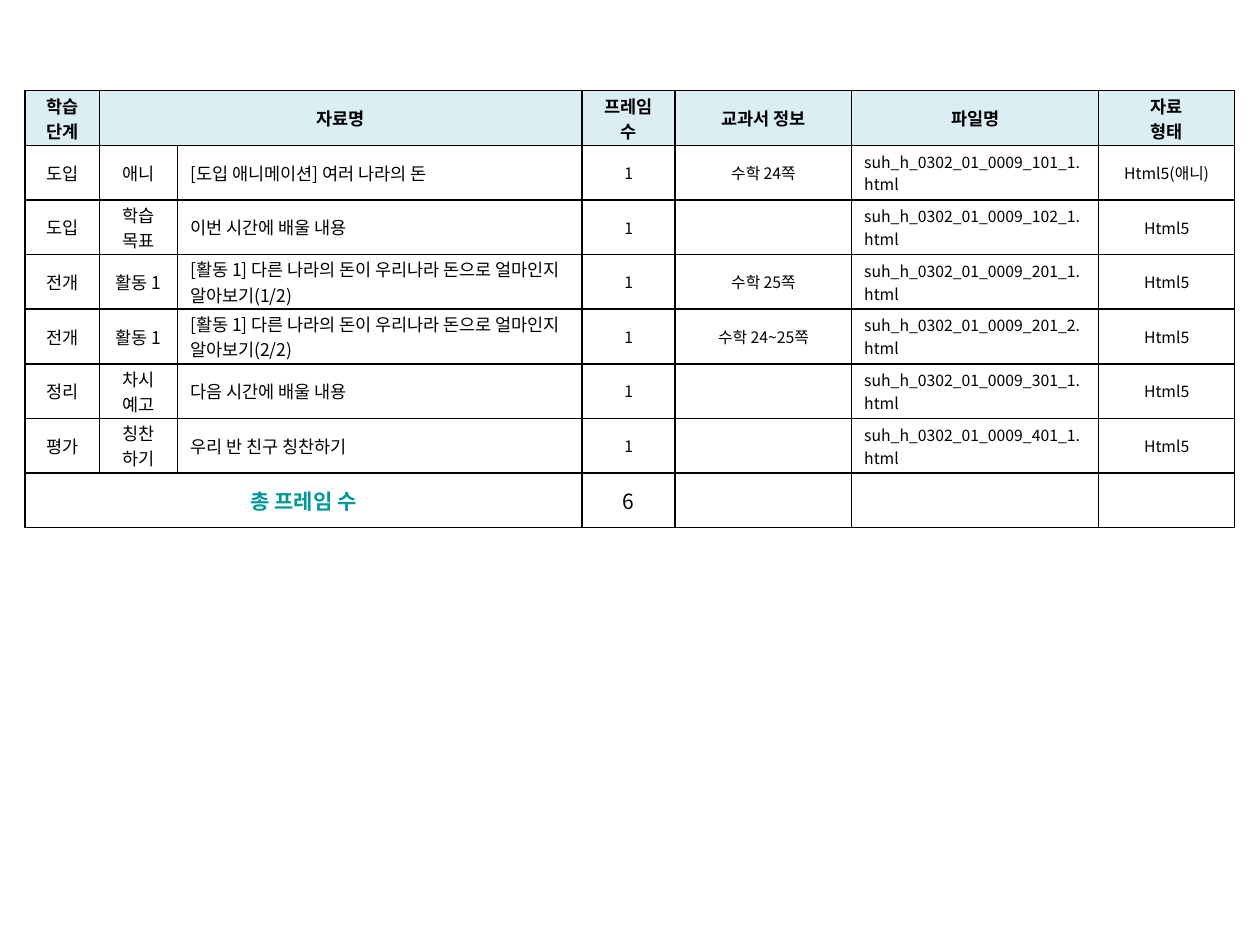
from typing import NamedTuple

from lxml import etree
from pptx import Presentation
from pptx.dml.color import RGBColor
from pptx.enum import text
from pptx.oxml import ns
from pptx.util import Inches, Pt

FONT = "Noto Sans CJK KR"
BLACK, TEAL, HEADER_FILL = "000000", "009999", "DBEEF4"
COLUMN_WIDTHS = (0.59, 0.62, 3.21, 0.74, 1.4, 1.96, 1.08)
ROW_COUNT = 8
TABLE_HEIGHT = 3.47
CENTER = text.PP_ALIGN.CENTER
LEFT = text.PP_ALIGN.LEFT
JUSTIFY = text.PP_ALIGN.JUSTIFY


class Material(NamedTuple):
    stage: str
    section: str
    title: str
    frames: str
    textbook: str
    file_name: str
    kind: str = "Html5"


class ColumnFormat(NamedTuple):
    size: int
    align: text.PP_ALIGN = CENTER


COLUMN_FORMATS = (
    ColumnFormat(10), ColumnFormat(10), ColumnFormat(10, LEFT), ColumnFormat(9),
    ColumnFormat(9), ColumnFormat(9, JUSTIFY), ColumnFormat(9),
)
HEADINGS = ("학습 단계", "자료명", "", "프레임 수", "교과서 정보", "파일명", "자료\n형태")
EXCHANGE = "[활동 1] 다른 나라의 돈이 우리나라 돈으로 얼마인지 알아보기"
MATERIALS = (
    Material("도입", "애니", "[도입 애니메이션] 여러 나라의 돈", "1", "수학 24쪽",
             "suh_h_0302_01_0009_101_1.html", "Html5(애니)"),
    Material("도입", "학습 목표", "이번 시간에 배울 내용", "1", "",
             "suh_h_0302_01_0009_102_1.html"),
    Material("전개", "활동 1", EXCHANGE + "(1/2)", "1", "수학 25쪽",
             "suh_h_0302_01_0009_201_1.html"),
    Material("전개", "활동 1", EXCHANGE + "(2/2)", "1", "수학 24~25쪽",
             "suh_h_0302_01_0009_201_2.html"),
    Material("정리", "차시 예고", "다음 시간에 배울 내용", "1", "",
             "suh_h_0302_01_0009_301_1.html"),
    Material("평가", "칭찬\n하기", "우리 반 친구 칭찬하기", "1", "",
             "suh_h_0302_01_0009_401_1.html"),
)


def rgb(value: str) -> RGBColor:
    return RGBColor.from_string(value)


def write(cell, content: str, *, size: int = 10, color: str = BLACK,
          bold: bool = False, align: text.PP_ALIGN = CENTER) -> None:
    cell.text = content
    for paragraph in cell.text_frame.paragraphs:
        paragraph.alignment = align
        font = paragraph.font
        font.size, font.bold, font.name = Pt(size), bold, FONT
        font.color.rgb = rgb(color)
        for run in paragraph.runs:
            run.font.size, run.font.bold, run.font.name = Pt(size), bold, FONT
            run.font.color.rgb = rgb(color)
            east_asian = etree.SubElement(run.font._element, ns.qn("a:ea"))
            east_asian.set("typeface", FONT)


def draw_borders(cell, color: str = BLACK, width: float = 1) -> None:
    properties = cell._tc.get_or_add_tcPr()
    for index, side in enumerate(("a:lnL", "a:lnR", "a:lnT", "a:lnB")):
        line = etree.Element(ns.qn(side), w=str(Pt(width)))
        fill = etree.SubElement(line, ns.qn("a:solidFill"))
        etree.SubElement(fill, ns.qn("a:srgbClr"), val=color)
        properties.insert(index, line)


def prepare(cell, fill: str | None) -> None:
    """Set the fill, borders and margins; slim margins let two lines fit a row."""
    cell.vertical_anchor = text.MSO_ANCHOR.MIDDLE
    cell.margin_left = cell.margin_right = Inches(0.1)
    cell.margin_top = cell.margin_bottom = Inches(0.01)
    if fill:
        cell.fill.solid()
        cell.fill.fore_color.rgb = rgb(fill)
    else:
        cell.fill.background()
    draw_borders(cell)


def build_material_table(slide) -> None:
    table = slide.shapes.add_table(
        ROW_COUNT, len(COLUMN_WIDTHS), Inches(0.2), Inches(0.72),
        Inches(sum(COLUMN_WIDTHS)), Inches(TABLE_HEIGHT)).table
    table.first_row = table.horz_banding = False
    for column, width in zip(table.columns, COLUMN_WIDTHS):
        column.width = Inches(width)
    for index, row in enumerate(table.rows):
        row.height = Inches(TABLE_HEIGHT / ROW_COUNT)
        for cell in row.cells:
            prepare(cell, HEADER_FILL if index == 0 else None)

    for column, heading in enumerate(HEADINGS):
        write(table.cell(0, column), heading, bold=True)
    for row, material in enumerate(MATERIALS, start=1):
        for column, (content, style) in enumerate(zip(material, COLUMN_FORMATS)):
            write(table.cell(row, column), content, size=style.size, align=style.align)

    total_row = ROW_COUNT - 1
    for column in range(len(COLUMN_WIDTHS)):
        write(table.cell(total_row, column), "")
    write(table.cell(total_row, 0), "총 프레임 수", size=12, color=TEAL, bold=True)
    write(table.cell(total_row, 3), "6", size=12)
    table.cell(0, 1).merge(table.cell(0, 2))
    table.cell(total_row, 0).merge(table.cell(total_row, 2))


def main() -> None:
    presentation = Presentation()
    presentation.slide_width, presentation.slide_height = Inches(10), Inches(7.5)
    slide = presentation.slides.add_slide(presentation.slide_layouts[6])
    build_material_table(slide)
    presentation.save("out.pptx")


if __name__ == "__main__":
    main()
